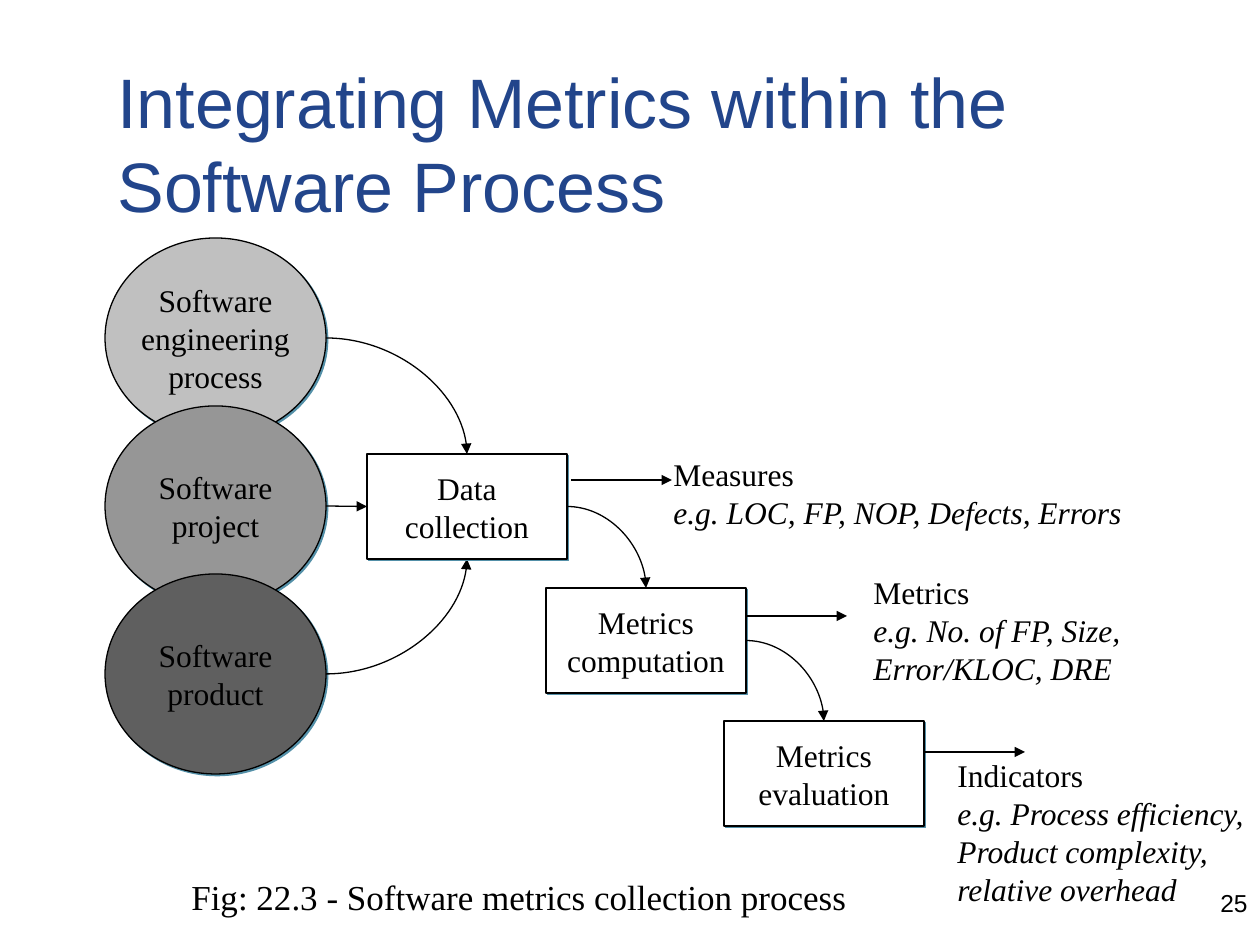
from lxml.etree import SubElement
from pptx import Presentation
from pptx.dml.color import RGBColor
from pptx.enum.shapes import MSO_CONNECTOR, MSO_SHAPE
from pptx.enum.text import MSO_ANCHOR, PP_ALIGN
from pptx.oxml.ns import qn
from pptx.util import Pt

SCALE = 914400 / 126
SERIF, SANS = "Times New Roman", "Arial"
COLORS = {
    "title": "22458B",
    "ink": "000000",
    "paper": "FFFFFF",
    "shadow": "5490A8",
    "process": "C0C0C0",
    "project": "969696",
    "product": "5F5F5F",
}
SOURCES = [
    ("Software\vengineering\vprocess", "process"),
    ("Software\vproject", "project"),
    ("Software\vproduct", "product"),
]
STAGES = [
    ("Data\vcollection", (367, 454, 200, 105)),
    ("Metrics\vcomputation", (546, 588, 200, 105)),
    ("Metrics\vevaluation", (724, 721, 200, 105)),
]
OUTPUTS = [
    ("Measures", "e.g. LOC, FP, NOP, Defects, Errors", (661, 449, 494, 88), (571, 480)),
    ("Metrics", "e.g. No. of FP, Size, Error/KLOC, DRE", (861, 567, 325, 126), (746, 616)),
    ("Indicators", "e.g. Process efficiency, Product complexity, relative overhead",
     (945, 750, 315, 164), (924, 752)),
]
ARROW_LENGTH = 101


def px(value):
    return round(value * SCALE)


def color(name):
    return RGBColor.from_string(COLORS[name])


def format_paragraph(paragraph, size, font=SERIF, ink="ink", align=PP_ALIGN.LEFT, italic=False):
    paragraph.alignment = align
    for run in paragraph.runs:
        run.font.size = Pt(size)
        run.font.name = font
        run.font.italic = italic
        run.font.color.rgb = color(ink)


def add_text(slide, box, lines, size, anchor=MSO_ANCHOR.TOP, **style):
    frame = slide.shapes.add_textbox(*map(px, box)).text_frame
    frame.word_wrap = True
    frame.vertical_anchor = anchor
    frame.text = "\n".join(lines)
    for index, paragraph in enumerate(frame.paragraphs):
        format_paragraph(paragraph, size, italic=index > 0, **style)


def add_shadow(shape):
    effects = SubElement(shape._element.spPr, qn("a:effectLst"))
    shadow = SubElement(effects, qn("a:outerShdw"), dist=str(Pt(1.4)), dir="2700000",
                        algn="ctr", rotWithShape="0")
    SubElement(shadow, qn("a:srgbClr"), val=COLORS["shadow"])


def add_node(slide, kind, box, label, fill):
    node = slide.shapes.add_shape(kind, *map(px, box))
    node.fill.solid()
    node.fill.fore_color.rgb = color(fill)
    node.line.color.rgb = color("ink")
    node.line.width = Pt(0.75)
    add_shadow(node)
    frame = node.text_frame
    frame.word_wrap = False
    frame.vertical_anchor = MSO_ANCHOR.MIDDLE
    frame.text = label
    format_paragraph(frame.paragraphs[0], 18, align=PP_ALIGN.CENTER)


def add_arrow(slide, start, end, curved=False):
    kind = MSO_CONNECTOR.CURVE if curved else MSO_CONNECTOR.STRAIGHT
    arrow = slide.shapes.add_connector(kind, *map(px, (*start, *end)))
    arrow.line.color.rgb = color("ink")
    arrow.line.width = Pt(0.75)
    properties = arrow._element.spPr
    if curved:
        properties.find(qn("a:prstGeom")).set("prst", "curvedConnector2")
    SubElement(properties.find(qn("a:ln")), qn("a:tailEnd"), type="triangle")
    SubElement(properties, qn("a:effectLst"))


def right_middle(box):
    left, top, width, height = box
    return left + width, top + height / 2


def top_middle(box):
    left, top, width, _ = box
    return left + width / 2, top


def add_sources(slide, box, target):
    left, top, width, height = box
    step = 168
    circles = [(left, top + step * index, width, height - step * 2) for index in range(3)]
    for (label, fill), circle in zip(SOURCES, circles):
        add_node(slide, MSO_SHAPE.OVAL, circle, label, fill)
    target_left, target_top, _, target_height = target
    center, _ = top_middle(target)
    process, project, product = map(right_middle, circles)
    add_arrow(slide, process, (center, target_top), curved=True)
    add_arrow(slide, project, (target_left, target_top + target_height / 2))
    add_arrow(slide, product, (center, target_top + target_height), curved=True)


def add_stages(slide):
    for label, box in STAGES:
        add_node(slide, MSO_SHAPE.RECTANGLE, box, label, "paper")
    for (_, box), (_, following) in zip(STAGES, STAGES[1:]):
        add_arrow(slide, right_middle(box), top_middle(following), curved=True)


def add_output(slide, box, heading, examples, arrow_start):
    left, top = arrow_start
    add_arrow(slide, arrow_start, (left + ARROW_LENGTH, top))
    add_text(slide, box, [heading, examples], 18)


def main():
    deck = Presentation()
    deck.slide_width, deck.slide_height = px(1260), px(945)
    slide = deck.slides.add_slide(deck.slide_layouts[6])
    add_text(slide, (997, 882, 263, 63), ["25"], 14, font=SANS, align=PP_ALIGN.RIGHT)
    add_text(slide, (105, 63, 1113, 158), ["Integrating Metrics within the Software Process"],
             40, anchor=MSO_ANCHOR.MIDDLE, font=SANS, ink="title")
    add_sources(slide, (105, 238, 221, 536), STAGES[0][1])
    add_stages(slide)
    for heading, examples, box, arrow_start in OUTPUTS:
        add_output(slide, box, heading, examples, arrow_start)
    add_text(slide, (136, 869, 766, 55), ["Fig: 22.3 - Software metrics collection process"],
             20, align=PP_ALIGN.CENTER)
    deck.save("out.pptx")


if __name__ == "__main__":
    main()
